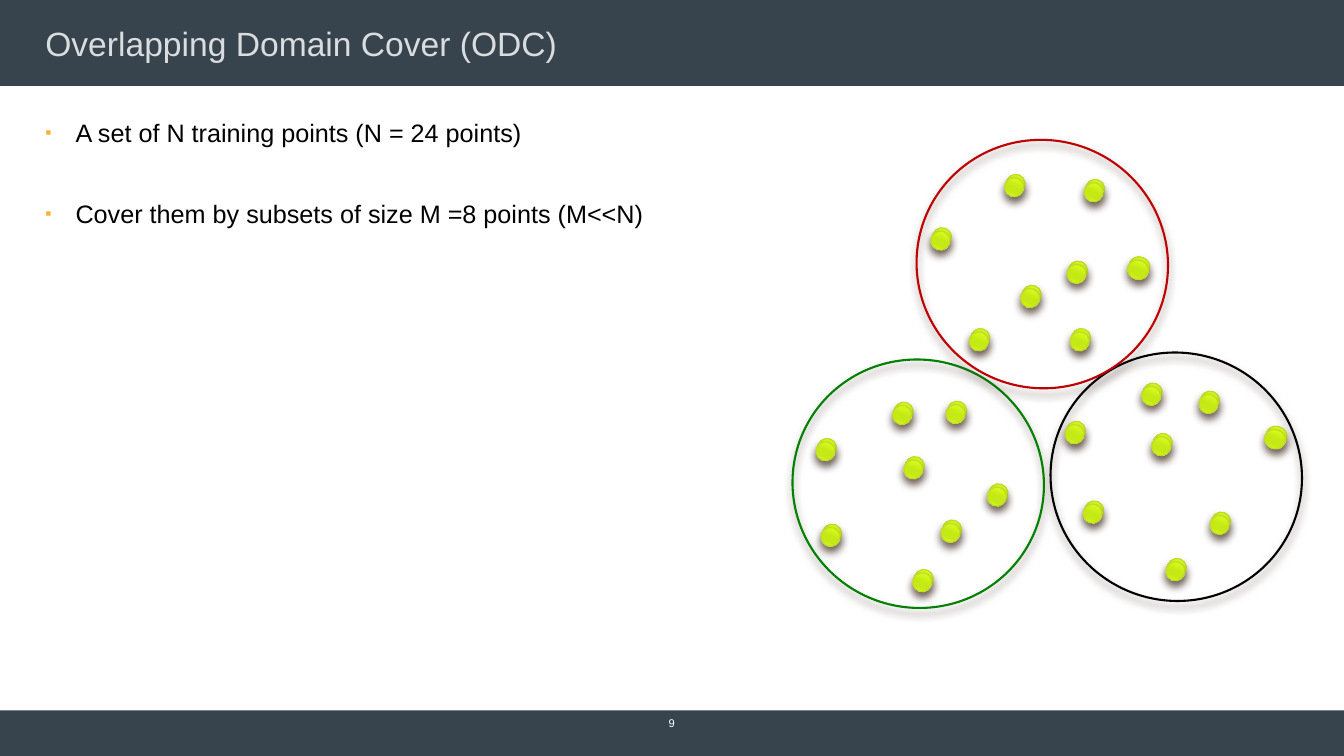
from lxml import etree
from pptx import Presentation
from pptx.dml.color import RGBColor
from pptx.enum.shapes import MSO_SHAPE
from pptx.enum.text import MSO_ANCHOR, PP_ALIGN
from pptx.oxml import parse_xml
from pptx.oxml.ns import nsdecls, qn
from pptx.util import Pt

RECTANGLE, ELLIPSE = MSO_SHAPE.RECTANGLE, MSO_SHAPE.OVAL
TOP, MIDDLE = MSO_ANCHOR.TOP, MSO_ANCHOR.MIDDLE
LEFT, CENTER = PP_ALIGN.LEFT, PP_ALIGN.CENTER

DOT, WIDE_DOT = 13.7, 15.1
LAYER_SHIFT = (-1.1, 2.3)
GRADIENT = [(0, "E0FF5A"), (25, "D4FA19"), (50, "C5E915"),
            (65, "C5E915"), (80, "D3F819"), (100, "DDFF4C")]

GREEN_POINTS = [(583.9, 313.2), (646.6, 326.2), (587.5, 374.4), (653, 406.8),
                (638.6, 287.3), (676.8, 286.6), (706.3, 345.6), (673.2, 371.5)]
BLACK_POINTS = [(865.4, 365.8), (904.3, 304.6, WIDE_DOT), (857.5, 279.4), (833.8, 398.9),
                (816.5, 273.6), (774.7, 357.8), (823.7, 309.6), (761.8, 301)]
RED_POINTS = [(763.2, 186.5), (806.4, 183.6, WIDE_DOT), (775.4, 128.2), (765.4, 234.7),
              (718.6, 124.6), (693.4, 234.7), (730.1, 203.8), (666, 162.7)]
TRAINING_POINTS = GREEN_POINTS + BLACK_POINTS + RED_POINTS


def color(value):
    return RGBColor.from_string(value)


class SlideBuilder:
    """Draws styled bars, text, subset circles and training points on one slide."""

    font = "Arial"
    bar_color = "37434D"
    bullet_color = "FBB034"
    shadow_color = "4E3B30"
    dot_line = "C1D82F"
    tilt = 21.3

    def __init__(self, slide):
        self.slide = slide

    def shape(self, kind, left, top, width, height):
        shape = self.slide.shapes.add_shape(kind, Pt(left), Pt(top), Pt(width), Pt(height))
        shape.shadow.inherit = False
        return shape

    def bar(self, top, height):
        bar = self.shape(RECTANGLE, 0, top, 960, height)
        bar.fill.solid()
        bar.fill.fore_color.rgb = color(self.bar_color)
        bar.line.fill.background()

    def text(self, box, lines, size, text_color, align=LEFT, anchor=MIDDLE):
        left, top, width, height = map(Pt, box)
        frame = self.slide.shapes.add_textbox(left, top, width, height).text_frame
        frame.word_wrap = True
        frame.vertical_anchor = anchor
        frame.margin_left = frame.margin_right = Pt(8.6)
        frame.margin_top = frame.margin_bottom = Pt(4.3)
        frame.text = "\n".join(lines)
        for paragraph in frame.paragraphs:
            paragraph.alignment = align
            paragraph.font.name = self.font
            paragraph.font.size = Pt(size)
            paragraph.font.color.rgb = color(text_color)
        return frame

    def bullets(self, box, lines, size, text_color, gap):
        frame = self.text(box, lines, size, text_color, anchor=TOP)
        for index, paragraph in enumerate(frame.paragraphs):
            paragraph.space_before = Pt(gap if index else 0)
            properties = paragraph._p.get_or_add_pPr()
            properties.set("marL", str(Pt(21.6)))
            properties.set("indent", str(-Pt(21.6)))
            bullet = parse_xml(
                f'<a:pPr {nsdecls("a")}><a:buClr><a:srgbClr val="{self.bullet_color}"/></a:buClr>'
                '<a:buSzPct val="70000"/><a:buFont typeface="Arial"/><a:buChar char="▪"/></a:pPr>')
            for element in list(bullet):
                properties.find(qn("a:defRPr")).addprevious(element)

    def ellipse(self, left, top, width, height, line_color, line_width):
        ellipse = self.shape(ELLIPSE, left, top, width, height)
        ellipse.rotation = self.tilt
        ellipse.line.color.rgb = color(line_color)
        ellipse.line.width = Pt(line_width)
        effects = ellipse._element.spPr.find(qn("a:effectLst"))
        shadow = etree.SubElement(effects, qn("a:outerShdw"), blurRad=str(Pt(6)),
                                  dist=str(Pt(4)), dir="5400000", rotWithShape="0")
        tint = etree.SubElement(shadow, qn("a:srgbClr"), val=self.shadow_color)
        etree.SubElement(tint, qn("a:alpha"), val="60000")
        return ellipse

    def circle(self, left, top, line_color):
        self.ellipse(left, top, 180, 177.1, line_color, 1.5).fill.background()

    def dot(self, left, top, width=DOT):
        dot = self.ellipse(left, top, width, DOT, self.dot_line, 0.79)
        stops = "".join(f'<a:gs pos="{position * 1000}"><a:srgbClr val="{value}"/></a:gs>'
                        for position, value in GRADIENT)
        gradient = parse_xml(f'<a:gradFill {nsdecls("a")} rotWithShape="1"><a:gsLst>{stops}</a:gsLst>'
                             '<a:lin ang="5400000" scaled="0"/></a:gradFill>')
        dot._element.spPr.find(qn("a:prstGeom")).addnext(gradient)

    def dots(self, shift_x=0, shift_y=0):
        for left, top, *width in TRAINING_POINTS:
            self.dot(left + shift_x, top + shift_y, *width)


def main():
    presentation = Presentation()
    presentation.slide_width, presentation.slide_height = Pt(960), Pt(540)
    builder = SlideBuilder(presentation.slides.add_slide(presentation.slide_layouts[6]))

    builder.bar(507.4, 32.6)
    builder.bar(0, 61.4)
    builder.text((23.8, 14.4, 911.5, 32.4), ["Overlapping Domain Cover (ODC)"], 24, "DADDE0")
    builder.text((439.9, 509.8, 79.9, 13), ["9"], 8, "FFFFFF", align=CENTER)

    builder.circle(750.2, 252, "000000")
    builder.circle(565.9, 257, "008000")
    builder.dots()
    builder.circle(654.5, 100.1, "BF0000")
    builder.bullets((23.8, 79.2, 911.5, 406.8),
                    ["A set of N training points (N = 24 points)",
                     "Cover them by subsets of size M =8 points (M<<N)"],
                    18, "000000", gap=36.4)
    builder.dots(*LAYER_SHIFT)

    presentation.save("out.pptx")


if __name__ == "__main__":
    main()
